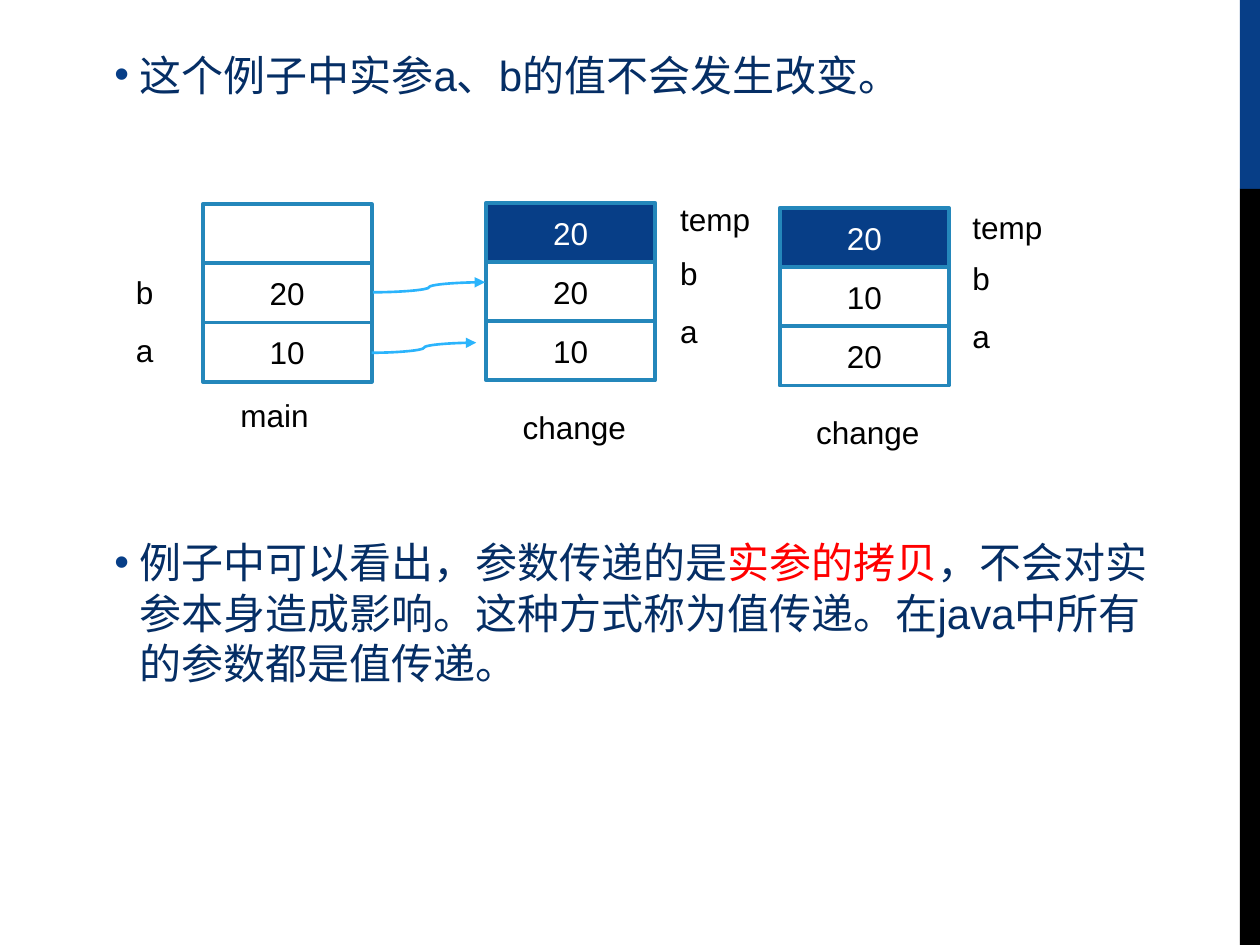
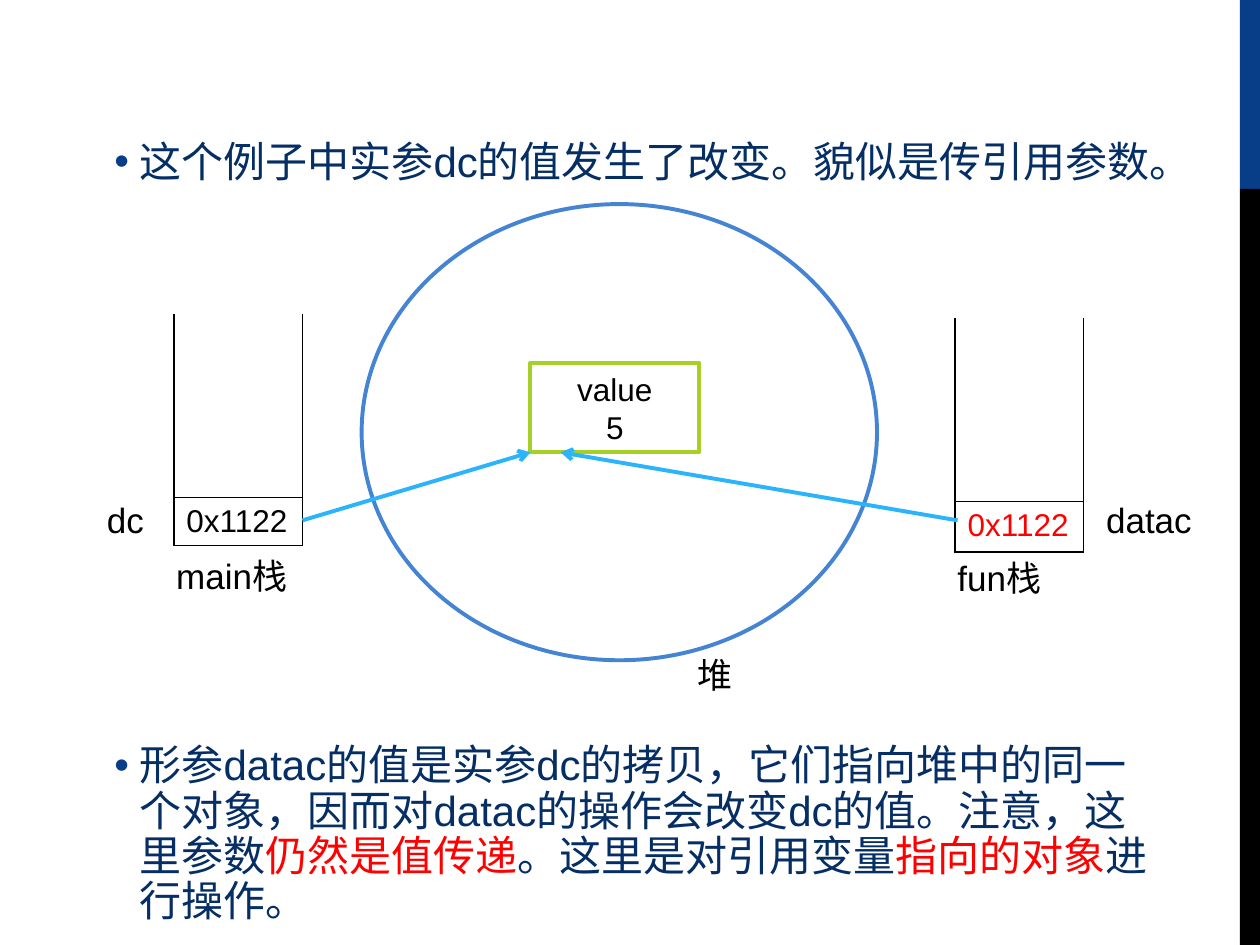
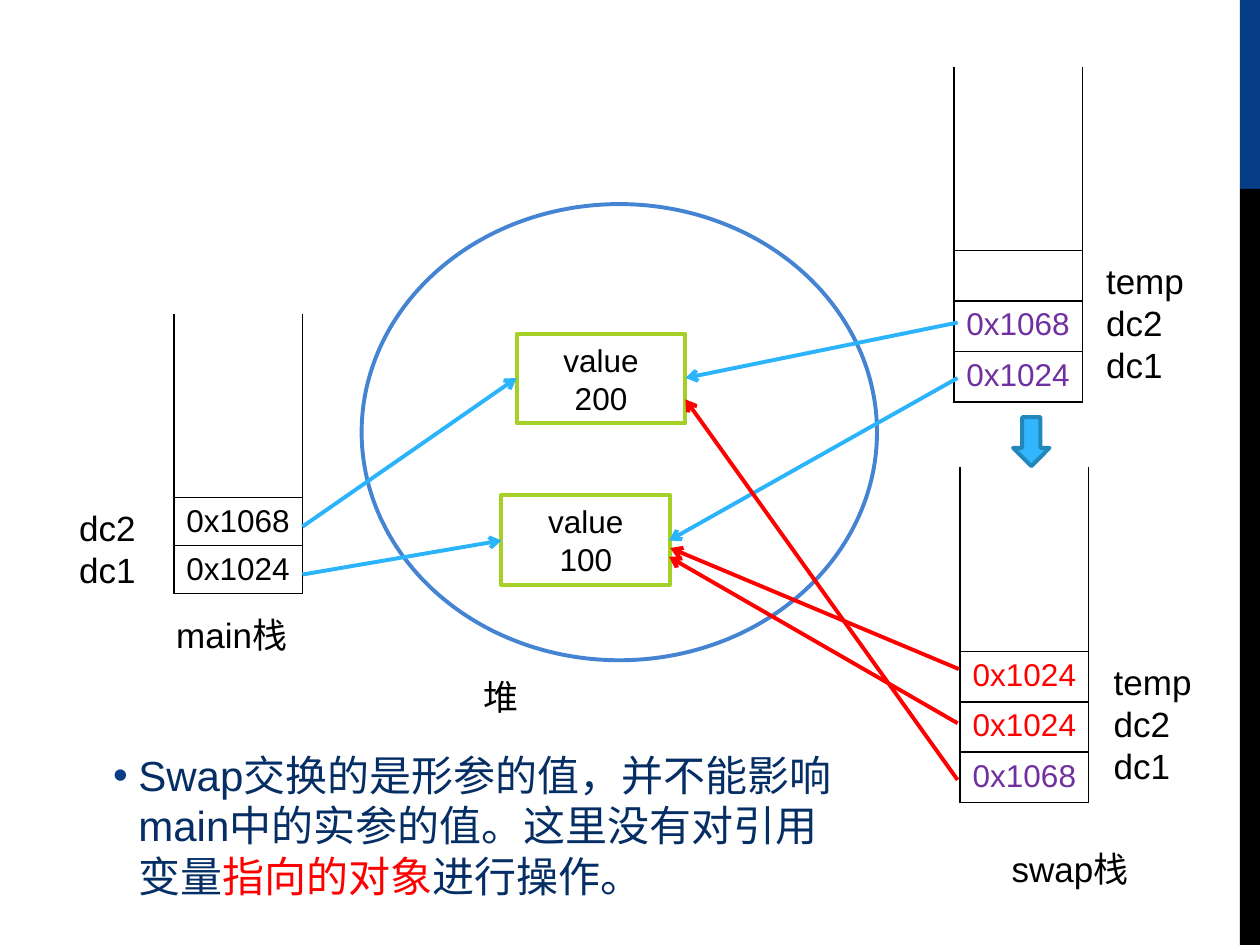
from dataclasses import dataclass
from lxml.etree import SubElement
from pptx import Presentation
from pptx.dml.color import RGBColor as RGB
from pptx.enum.shapes import MSO_CONNECTOR as Link, MSO_SHAPE as Form
from pptx.enum.text import MSO_ANCHOR as Anchor, PP_ALIGN as Align
from pptx.oxml.ns import qn
from pptx.util import Inches as In, Pt


@dataclass(frozen=True)
class Theme:
    font: str = "Arial"
    body: int = 24
    label: int = 20
    cell: int = 18
    navy: str = "073E87"
    ink: str = "052E65"
    black: str = "000000"
    white: str = "FFFFFF"
    red: str = "FF0000"
    violet: str = "7030A0"
    edge: str = "2487BB"
    sky: str = "2BB4FC"
    arrow: str = "31B6FD"
    heap: str = "4584D3"
    lime: str = "A5D028"
    thick: float = 2.25


T = Theme()
WIDE, HIGH = 10, 7.5
BAND = 0.16
BOX_W, BOX_H = 1.34, 0.47
OBJ_H = 0.71
STACK_W, FREE_H = 1.02, 1.46
HEAP = (2.87, 1.62, 4.09, 3.62)

FRAMES = [
    (1.61, 1.62, ["", "20", "10"], 0.98, [("b", 2.12), ("a", 2.58)],
     ("main", 1.81, 3.09)),
    (3.86, 1.61, ["20", "20", "10"], 5.3,
     [("temp", 1.54), ("b", 1.97), ("a", 2.43)], ("change", 4.05, 3.19)),
    (6.19, 1.65, ["20", "10", "20"], 7.62,
     [("temp", 1.6), ("b", 2.01), ("a", 2.47)], ("change", 6.38, 3.23)),
]
COPIES = [(2.95, 2.8, 3.78, 2.72), (2.96, 2.32, 3.85, 2.24)]

PAGES = [
    dict(
        notes=[
            (0.51, 0.34, 1, ["这个例子中实参a、b的值不会发生改变。"]),
            (0.51, 4.21, 1, ["例子中可以看出，参数传递的是", "实参的拷贝",
             "，不会对实参本身造成影响。这种方式称为值传递。在java中所有的参数都是值传递。"]),
        ],
        frames=FRAMES,
        copies=COPIES,
    ),
    dict(
        heap=(5.44, 5.14),
        notes=[
            (0.51, 1.07, 0.9, ["这个例子中实参dc的值发生了改变。貌似是传引用参数。"]),
            (0.51, 5.86, 0.9, ["形参datac的值是实参dc的拷贝，它们指向堆中的同一个对象，"
             "因而对datac的操作会改变dc的值。注意，这里参数", "仍然是值传递",
             "。这里是对引用变量", "指向的对象", "进行操作。"]),
        ],
        stacks=[
            (1.38, 2.49, 0.38, [("0x1122", T.black)]),
            (7.58, 2.52, 0.4, [("0x1122", T.red)]),
        ],
        labels=[
            (0.75, 3.91, 0.55, ["dc"]), (1.3, 4.35, 1.17, ["main栈"]),
            (8.68, 3.91, 0.89, ["datac"]), (7.5, 4.37, 1.17, ["fun栈"]),
        ],
        objects=[(4.21, 2.88, "5")],
        refs=[(T.sky, [(2.4, 4.13, 4.21, 3.59), (7.6, 4.13, 4.45, 3.59)])],
    ),
    dict(
        heap=(3.74, 5.31),
        notes=[
            (0.5, 5.9, 1, ["Swap交换的是形参的值，并不能影响\nmain中的实参的值。这里没有对引用\n变量",
             "指向的对象", "进行操作。"]),
        ],
        stacks=[
            (1.38, 2.49, 0.38, [("0x1068", T.black), ("0x1024", T.black)]),
            (7.57, 0.53, 0.4,
             [("", T.black), ("0x1068", T.violet), ("0x1024", T.violet)]),
            (7.62, 3.71, 0.4,
             [("0x1024", T.red), ("0x1024", T.red), ("0x1068", T.violet)]),
        ],
        labels=[
            (0.53, 3.97, 0.79, ["dc2", "dc1"]), (1.3, 4.82, 1.17, ["main栈"]),
            (8.68, 2.01, 0.89, ["temp", "dc2", "dc1"]),
            (8.74, 5.19, 0.89, ["temp", "dc2", "dc1"]),
            (7.93, 6.68, 1.17, ["swap栈"]),
        ],
        objects=[(3.98, 3.93, "100"), (4.1, 2.65, "200")],
        refs=[
            (T.sky, [(2.4, 4.56, 3.98, 4.29), (2.4, 4.18, 4.1, 3),
                     (7.6, 3, 5.31, 4.29), (7.6, 2.56, 5.44, 3)]),
            (T.red, [(7.6, 6.19, 5.44, 3.17), (7.6, 5.74, 5.31, 4.42),
                     (7.61, 5.31, 5.32, 4.35)]),
        ],
        step=(7.99, 3.36, 0.39, 0.29),
    ),
]


def style(para, size, color):
    font = para.font
    font.name, font.size = T.font, Pt(size)
    font.color.rgb = RGB.from_string(color)


def fill_text(frame, lines, size, color, align=Align.LEFT):
    frame.word_wrap = True
    for i, line in enumerate(lines):
        para = frame.add_paragraph() if i else frame.paragraphs[0]
        para.text, para.alignment = line, align
        style(para, size, color)


def shape(page, form, place, fill, edge=None, lines=(), color=T.black):
    item = page.shapes.add_shape(form, *map(In, place))
    item.shadow.inherit = False
    item.fill.solid()
    item.fill.fore_color.rgb = RGB.from_string(fill)
    if edge:
        item.line.color.rgb = RGB.from_string(edge)
        item.line.width = Pt(T.thick)
    else:
        item.line.fill.background()
    if lines:
        item.text_frame.vertical_anchor = Anchor.MIDDLE
        fill_text(item.text_frame, lines, T.cell, color, Align.CENTER)
    return item


def label(page, left, top, width, lines, size=T.label):
    high = 0.1 + len(lines) * size / 60
    box = page.shapes.add_textbox(*map(In, (left, top, width, high)))
    fill_text(box.text_frame, lines, size, T.black)


def note(page, left, top, space, parts):
    box = page.shapes.add_textbox(*map(In, (left, top, 8.83, 1.4)))
    box.text_frame.word_wrap = True
    para = box.text_frame.paragraphs[0]
    para.line_spacing = space
    props = para._p.get_or_add_pPr()
    props.set("marL", str(In(0.5)))
    props.set("indent", str(In(-0.2)))
    SubElement(SubElement(props, qn("a:buClr")), qn("a:srgbClr"), val=T.navy)
    SubElement(props, qn("a:buFont"), typeface=T.font)
    SubElement(props, qn("a:buChar"), char="•")
    style(para, T.body, T.ink)
    for i, part in enumerate(parts):
        for j, line in enumerate(part.split("\n")):
            if j:
                para.add_line_break()
            run = para.add_run()
            run.text = line
            if i % 2:
                run.font.color.rgb = RGB.from_string(T.red)


def link(page, kind, ends, color, width, head):
    item = page.shapes.add_connector(kind, *map(In, ends))
    item.line.color.rgb = RGB.from_string(color)
    item.line.width = Pt(width)
    SubElement(item.line._get_or_add_ln(), qn("a:tailEnd"), type=head)
    SubElement(item._element.spPr, qn("a:effectLst"))


def border(cell, sides):
    props = cell._tc.get_or_add_tcPr()
    for i, side in enumerate("LRTB"):
        line = SubElement(props, qn("a:ln" + side), w=str(Pt(1)))
        if side in sides:
            SubElement(SubElement(line, qn("a:solidFill")),
                       qn("a:srgbClr"), val=T.black)
        else:
            SubElement(line, qn("a:noFill"))
        props.insert(i, line)


def stack(page, left, top, high, slots):
    rows = [("", T.black)] + slots
    size = (STACK_W, FREE_H + high * len(slots))
    table = page.shapes.add_table(
        len(rows), 1, *map(In, (left, top, *size))).table
    table.first_row = table.horz_banding = False
    for i, (text, color) in enumerate(rows):
        table.rows[i].height = In(high if i else FREE_H)
        cell = table.cell(i, 0)
        cell.margin_right = cell.margin_bottom = In(0.02)
        cell.fill.background()
        fill_text(cell.text_frame, [text], T.cell, color)
        border(cell, "LRTB" if i else "LRB")


def frame(page, left, top, cells, side, names, title):
    for i, text in reversed(list(enumerate(cells))):
        full = i == 0 and text
        shape(page, Form.RECTANGLE, (left, top + i * BOX_H, BOX_W, BOX_H),
              T.navy if full else T.white, T.edge, [text] if text else [],
              T.white if full else T.black)
    for text, y in names:
        label(page, side, y, 0.94, [text], T.cell)
    text, x, y = title
    label(page, x, y, 1.14, [text], T.cell)


def draw(page, data):
    for top, high, color in [(0, 1.5, T.navy), (1.5, HIGH - 1.5, T.black)]:
        shape(page, Form.RECTANGLE, (WIDE - BAND, top, BAND, high), color)
    if "heap" in data:
        shape(page, Form.OVAL, HEAP, T.white, T.heap)
        label(page, *data["heap"], 1.17, ["堆"])
    for item in data["notes"]:
        note(page, *item)
    for item in data.get("frames", []):
        frame(page, *item)
    for ends in data.get("copies", []):
        link(page, Link.CURVE, ends, T.sky, 1.5, "triangle")
    for item in data.get("stacks", []):
        stack(page, *item)
    for item in data.get("labels", []):
        label(page, *item)
    for left, top, value in data.get("objects", []):
        shape(page, Form.RECTANGLE, (left, top, BOX_W, OBJ_H),
              T.white, T.lime, ["value", value])
    for color, lines in data.get("refs", []):
        for ends in lines:
            link(page, Link.STRAIGHT, ends, color, T.thick, "arrow")
    if "step" in data:
        shape(page, Form.RIGHT_ARROW, data["step"], T.arrow, T.edge).rotation = 90


def main():
    deck = Presentation()
    deck.slide_width, deck.slide_height = In(WIDE), In(HIGH)
    for data in PAGES:
        draw(deck.slides.add_slide(deck.slide_layouts[6]), data)
    deck.save("out.pptx")


if __name__ == "__main__":
    main()
